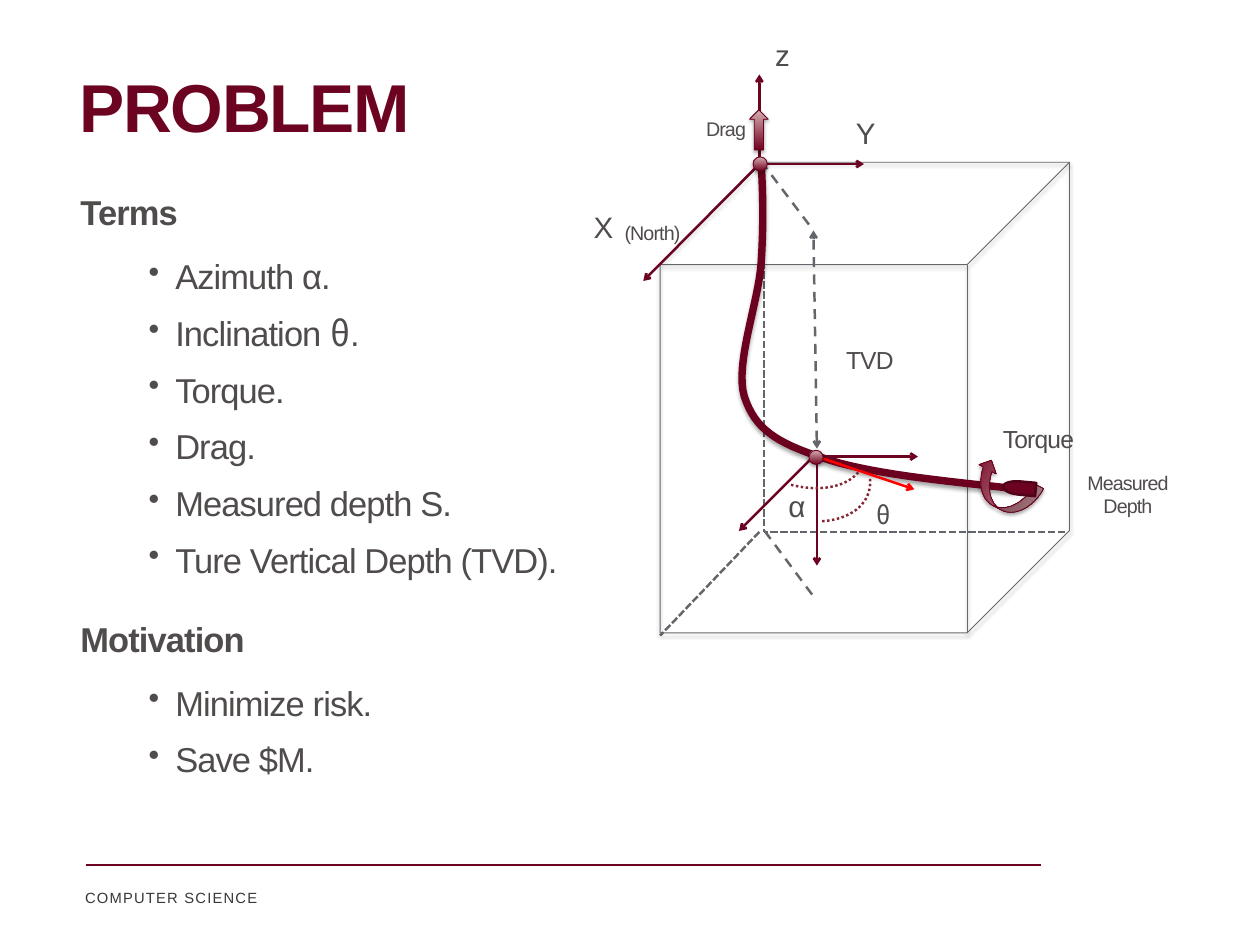
"""Build the PROBLEM slide: drilling terms beside a well path in a cube."""
import itertools
from dataclasses import dataclass
from typing import Any, Optional

import pptx
import pptx.dml.color
import pptx.enum.dml
import pptx.enum.shapes
import pptx.enum.text
import pptx.oxml
import pptx.oxml.ns
import pptx.util

PX = 9144
MAROON, DEEP, GREY, INK = "6C0421", "6C011F", "63666A", "504C4C"
SHAPES = pptx.enum.shapes.MSO_SHAPE
DASHES = pptx.enum.dml.MSO_LINE
ALIGN = pptx.enum.text.PP_ALIGN
ANCHOR = pptx.enum.text.MSO_ANCHOR
AUTO_SIZE = pptx.enum.text.MSO_AUTO_SIZE
Box = tuple[int, int, int, int]
Point = tuple[float, float]


@dataclass
class Segment:
    start: Point
    end: Point
    color: str = MAROON
    dash: Optional[Any] = None
    ends: tuple[str, ...] = ()


@dataclass
class Figure:
    kind: Any
    box: Box
    line: str = DEEP
    width: float = 0.75
    fill: Optional[str] = None
    rotation: float = 0
    adjustments: tuple[float, ...] = ()
    dash: Optional[Any] = None
    shadow: bool = True


@dataclass
class Label:
    text: str
    box: Box
    size: int
    indented: bool = False
    wrap: bool = True
    align: Any = ALIGN.LEFT


@dataclass
class Topic:
    heading: str
    bullets: tuple[str, ...]
    box: Box


TAIL, BOTH = ("tailEnd",), ("headEnd", "tailEnd")
HIDDEN_EDGES = [
    Segment((862, 183), (862, 600), GREY, DASHES.SQUARE_DOT),
    Segment((857, 600), (745, 717), GREY, DASHES.SQUARE_DOT),
    Segment((1202, 600), (862, 600), GREY, DASHES.SQUARE_DOT),
]
CUBE = Figure(SHAPES.CUBE, (745, 183, 462, 531), GREY)
WELL_START = (859, 182)
WELL_CURVES = [
    ((861, 217), (862, 252), (859, 297)),
    ((856, 341), (829, 411), (840, 447)),
    ((852, 484), (876, 499), (927, 516)),
    ((978, 534), (1061, 542), (1144, 551)),
]
VECTORS = [
    Segment((97, 976), (1175, 976)),
    Segment((857, 185), (857, 84), ends=TAIL),
    Segment((859, 183), (726, 317), ends=TAIL),
    Segment((858, 185), (975, 185), ends=TAIL),
    Segment((920, 513), (834, 599), ends=TAIL),
    Segment((919, 514), (1032, 552), "FF0000", ends=TAIL),
    Segment((919, 515), (1036, 515), ends=TAIL),
    Segment((922, 515), (922, 638), ends=TAIL),
    Segment((922, 506), (918, 260), GREY, DASHES.DASH, BOTH),
    Segment((859, 182), (915, 256), GREY, DASHES.DASH),
    Segment((863, 599), (919, 674), GREY, DASHES.DASH),
]
FIGURES = [
    Figure(SHAPES.ARC, (785, 418, 200, 122), "862633", 2, None, 28.3,
           (2.65, 33.45), DASHES.ROUND_DOT, False),
    Figure(SHAPES.ARC, (787, 459, 200, 122), "862633", 2, None, 22.8,
           (209.52, 22.12), DASHES.ROUND_DOT, False),
    Figure(SHAPES.UP_ARROW, (846, 124, 21, 45), fill="gradient"),
    Figure(SHAPES.CURVED_LEFT_ARROW, (1111, 513, 44, 78), fill="gradient", rotation=118.6),
    Figure(SHAPES.FLOWCHART_DELAY, (1132, 543, 37, 15), "500318", 2, MAROON, 185.2, shadow=False),
    Figure(SHAPES.OVAL, (850, 177, 16, 16), fill="gradient"),
    Figure(SHAPES.OVAL, (913, 508, 16, 16), fill="gradient"),
]
LABELS = [
    Label("α", (880, 546, 32, 41), 24, wrap=False),
    Label("θ", (979, 559, 37, 44), 20, wrap=False),
    Label("Torque", (1022, 473, 241, 48), 20, True),
    Label("Drag", (687, 127, 236, 41), 16, True),
    Label("TVD", (845, 384, 204, 36), 20, True),
    Label("Measured\nDepth", (1105, 526, 236, 70), 16, True, align=ALIGN.CENTER),
    Label("(North)", (595, 244, 236, 37), 16, True),
    Label("z", (865, 37, 75, 50), 24),
    Label("Y", (956, 125, 75, 50), 24),
    Label("X", (660, 231, 75, 50), 24),
]
TOPICS = [
    Topic("Terms", ("Azimuth α.", "Inclination θ.", "Torque.", "Drag.", "Measured depth S.",
                    "Ture Vertical Depth (TVD)."), (81, 202, 604, 475)),
    Topic("Motivation", ("Minimize risk.", "Save $M."), (81, 683, 604, 475)),
]


def emu(*lengths: float) -> list[int]:
    """Turn px lengths into EMU."""
    return [round(length * PX) for length in lengths]


def rgb(color: str) -> pptx.dml.color.RGBColor:
    """Turn a hex string into a colour."""
    return pptx.dml.color.RGBColor.from_string(color)


def assign(target: Any, values: dict[str, Any]) -> None:
    """Set each named attribute of the target."""
    for name, value in values.items():
        setattr(target, name, value)


def add_xml(parent: Any, xml: str) -> None:
    """Append one drawing element to the parent."""
    tag, rest = xml[1:].split(" ", 1)
    parent.append(pptx.oxml.parse_xml(f"<{tag} {pptx.oxml.ns.nsdecls('a')} {rest}"))


def style_line(line: Any, color: str, width: float, dash: Optional[Any] = None) -> None:
    """Give a line its colour, width and dash."""
    line.color.rgb = rgb(color)
    assign(line, {"width": pptx.util.Pt(width), "dash_style": dash})


def style_shadow(shape: Any, visible: bool) -> None:
    """Remove the theme shadow and add a soft one if visible."""
    shape.shadow.inherit = False
    if visible:
        effects = shape._element.spPr.find(pptx.oxml.ns.qn("a:effectLst"))
        add_xml(effects, '<a:outerShdw blurRad="39370" dist="22860" dir="5400000" rotWithShape="0">'
                '<a:srgbClr val="000000"><a:alpha val="35000"/></a:srgbClr></a:outerShdw>')


def add_segment(slide: Any, segment: Segment) -> None:
    """Draw a straight line with its arrowheads."""
    connector = slide.shapes.add_connector(
        pptx.enum.shapes.MSO_CONNECTOR.STRAIGHT, *emu(*segment.start, *segment.end))
    style_line(connector.line, segment.color, 2, segment.dash)
    for end in segment.ends:
        add_xml(connector.line._get_or_add_ln(), f'<a:{end} type="arrow"/>')
    add_xml(connector._element.spPr, "<a:effectLst />")


def add_figure(slide: Any, figure: Figure) -> None:
    """Draw a preset shape."""
    shape = slide.shapes.add_shape(figure.kind, *emu(*figure.box))
    shape.rotation = figure.rotation
    for index, value in enumerate(figure.adjustments):
        shape.adjustments[index] = value
    if figure.fill is None:
        shape.fill.background()
    elif figure.fill == "gradient":
        shape.fill.gradient()
        shape.fill.gradient_angle = 90
        for stop, color in zip(shape.fill.gradient_stops, ("70001F", "D5AFB2")):
            stop.color.rgb = rgb(color)
    else:
        shape.fill.solid()
        shape.fill.fore_color.rgb = rgb(figure.fill)
    style_line(shape.line, figure.line, figure.width, figure.dash)
    style_shadow(shape, figure.shadow)


def curve_points(start: Point, curves: list[tuple[Point, Point, Point]], steps: int = 16) -> list[Point]:
    """Sample a chain of cubic curves."""
    points = []
    for first, second, end in curves:
        for step in range(1, steps + 1):
            t = step / steps
            weights = ((1 - t) ** 3, 3 * t * (1 - t) ** 2, 3 * t * t * (1 - t), t ** 3)
            anchors = (start, first, second, end)
            points.append(tuple(sum(w * a[axis] for w, a in zip(weights, anchors)) for axis in (0, 1)))
        start = end
    return points


def add_well(slide: Any) -> None:
    """Draw the curved well path."""
    builder = slide.shapes.build_freeform(*emu(*WELL_START))
    builder.add_line_segments([emu(*point) for point in curve_points(WELL_START, WELL_CURVES)], close=False)
    well = builder.convert_to_shape()
    well.fill.background()
    style_line(well.line, DEEP, 6)
    style_shadow(well, True)


def add_runs(paragraph: Any, text: str, size: int, color: str = INK,
             bold: bool = False, spacing: int = -70) -> None:
    """Write text, with theta in its own font."""
    for is_theta, letters in itertools.groupby(text, lambda letter: letter == "θ"):
        run = paragraph.add_run()
        run.text = "".join(letters)
        assign(run.font, {"name": "Noto Sans CJK SC" if is_theta else "Arial",
                          "size": pptx.util.Pt(size), "bold": bold})
        run.font.color.rgb = rgb(color)
        run._r.get_or_add_rPr().set("spc", str(spacing))


def indent(paragraph: Any, margin: int, first: int) -> Any:
    """Set the left margin and first-line indent and return the properties."""
    properties = paragraph._p.get_or_add_pPr()
    for name, value in zip(("marL", "indent"), emu(margin, first)):
        properties.set(name, str(value))
    return properties


def add_label(slide: Any, label: Label) -> None:
    """Write a diagram label."""
    frame = slide.shapes.add_textbox(*emu(*label.box)).text_frame
    assign(frame, {"word_wrap": label.wrap, "auto_size": AUTO_SIZE.SHAPE_TO_FIT_TEXT})
    for index, text in enumerate(label.text.split("\n")):
        paragraph = frame.add_paragraph() if index else frame.paragraphs[0]
        paragraph.alignment = label.align
        if label.indented:
            indent(paragraph, 142, -42)
        add_runs(paragraph, text, label.size)


def add_topic(slide: Any, topic: Topic) -> None:
    """Write a heading with its bullets."""
    frame = slide.shapes.add_textbox(*emu(*topic.box)).text_frame
    frame.word_wrap = True
    for index, text in enumerate((topic.heading, *topic.bullets)):
        paragraph = frame.add_paragraph() if index else frame.paragraphs[0]
        assign(paragraph, {"line_spacing": pptx.util.Pt(40), "space_after": pptx.util.Pt(6 if index else 12)})
        if index:
            paragraph.level = 1
            properties = indent(paragraph, 107, -30)
            add_xml(properties, '<a:buSzPct val="92000"/>')
            add_xml(properties, '<a:buChar char="•"/>')
        add_runs(paragraph, text, 28, bold=not index)


def add_title(slide: Any) -> None:
    """Place and format the title."""
    title = slide.shapes.title
    assign(title, dict(zip(("left", "top", "width", "height"), emu(80, 83, 1282, 180))))
    assign(title.text_frame, {"vertical_anchor": ANCHOR.TOP, "margin_bottom": 0,
                              "word_wrap": True, "auto_size": AUTO_SIZE.NONE})
    paragraph = title.text_frame.paragraphs[0]
    assign(paragraph, {"alignment": ALIGN.LEFT, "line_spacing": pptx.util.Pt(55)})
    add_runs(paragraph, "PROBLEM", 55, MAROON, True, -110)


def add_department(slide: Any) -> None:
    """Write the department name under the rule."""
    frame = slide.shapes.add_textbox(*emu(96, 986, 840, 43)).text_frame
    assign(frame, {"word_wrap": True, "vertical_anchor": ANCHOR.MIDDLE, "margin_left": 0,
                   "margin_top": 0, "margin_right": 0, "margin_bottom": 0})
    frame.paragraphs[0].line_spacing = 1.5
    add_runs(frame.paragraphs[0], "COMPUTER SCIENCE", 12, "363837", spacing=100)


def main() -> None:
    """Build and save the presentation."""
    presentation = pptx.Presentation()
    assign(presentation, dict(zip(("slide_width", "slide_height"), emu(1422, 1066))))
    slide = presentation.slides.add_slide(presentation.slide_layouts[5])
    add_title(slide)
    add_department(slide)
    for topic in TOPICS:
        add_topic(slide, topic)
    for edge in HIDDEN_EDGES:
        add_segment(slide, edge)
    add_figure(slide, CUBE)
    add_well(slide)
    for vector in VECTORS:
        add_segment(slide, vector)
    for figure in FIGURES:
        add_figure(slide, figure)
    for label in LABELS:
        add_label(slide, label)
    presentation.save("out.pptx")


if __name__ == "__main__":
    main()
